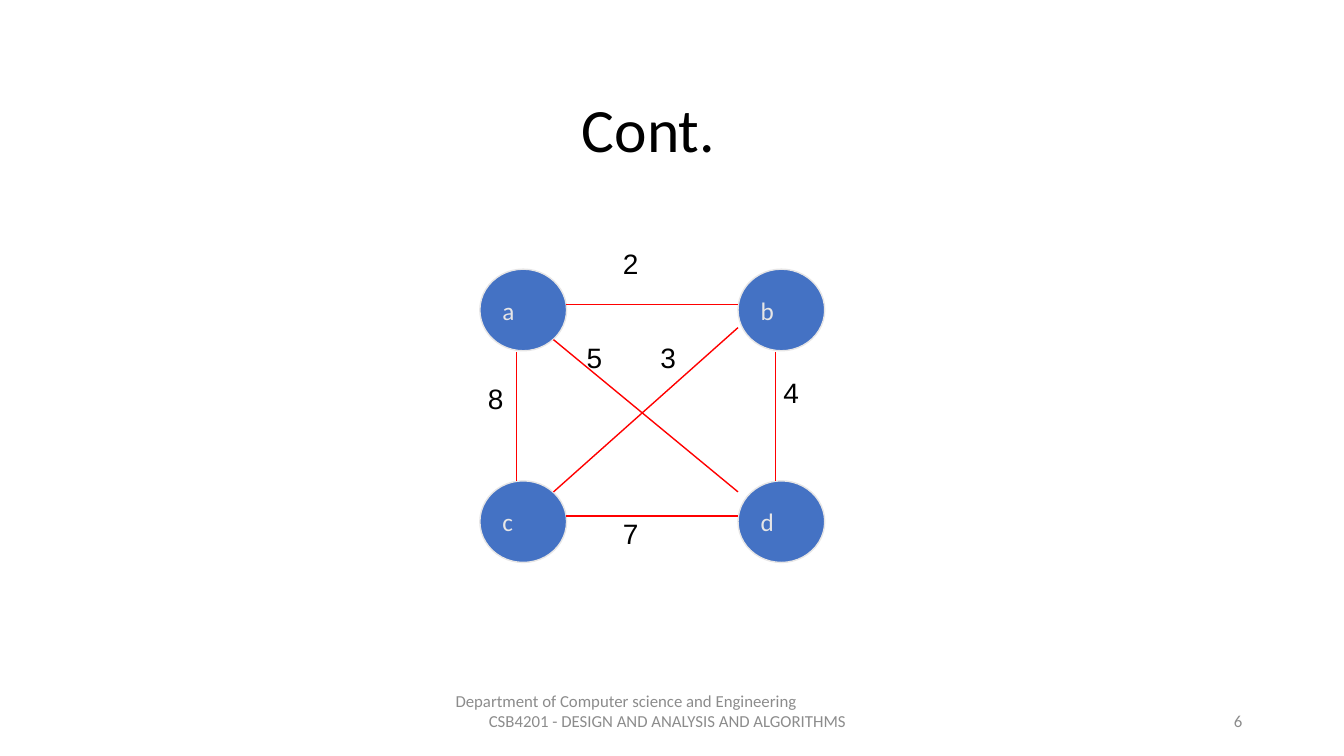
from dataclasses import dataclass

from lxml import etree
from pptx import Presentation
from pptx.dml.color import RGBColor
from pptx.enum.shapes import MSO_CONNECTOR, MSO_SHAPE
from pptx.enum.text import MSO_ANCHOR, PP_ALIGN
from pptx.oxml.ns import qn
from pptx.util import Inches, Pt

LEFT, RIGHT = PP_ALIGN.LEFT, PP_ALIGN.RIGHT
TOP, MIDDLE = MSO_ANCHOR.TOP, MSO_ANCHOR.MIDDLE
OVAL, STRAIGHT = MSO_SHAPE.OVAL, MSO_CONNECTOR.STRAIGHT


@dataclass(frozen=True)
class Theme:
    black: str = "000000"
    grey: str = "8C8C8C"
    node: str = "4472C4"
    pale: str = "E7E6E6"
    edge: str = "FF0000"
    body: str = "Calibri"
    label: str = "Arial"
    title_size: int = 44
    label_size: int = 20
    node_size: int = 18
    footer_size: int = 12


THEME = Theme()
NODE_W, NODE_H = 0.86, 0.81
STEP_X, STEP_Y = 2.56, 2.1
NODES = [["a", "b"], ["c", "d"]]
EDGES = [
    (0.85, 0.35, STEP_X, 0.35),
    (0.36, 0.82, 0.36, STEP_Y),
    (0.85, STEP_Y + 0.35, STEP_X, STEP_Y + 0.35),
    (STEP_X + 0.37, 0.82, STEP_X + 0.37, STEP_Y),
    (0.73, 0.7, STEP_X, 2.21),
    (STEP_X, 0.58, 0.73, 2.21),
]
WEIGHTS = [
    ("8", -0.02, 1.07),
    ("2", 1.32, -0.27),
    ("7", 1.32, 2.4),
    ("5", 0.96, 0.66),
    ("3", 1.69, 0.66),
    ("4", 2.91, 1.01),
]


def rgb(value):
    return RGBColor.from_string(value)


def inches(*values):
    return [Inches(v) for v in values]


def write(sp, lines, size, color, font=THEME.body, align=LEFT, anchor=MIDDLE, **frame):
    tf = sp.text_frame
    settings = {"word_wrap": True, "vertical_anchor": anchor, **frame}
    for name, value in settings.items():
        setattr(tf, name, value)
    tf.text = "\n".join(lines)
    for p in tf.paragraphs:
        p.alignment = align
        for r in p.runs:
            for name, value in {"name": font, "size": Pt(size)}.items():
                setattr(r.font, name, value)
            r.font.color.rgb = rgb(color)
    return tf


def add_title(s, left, top, width, height):
    sp = s.shapes.title
    box = dict(zip(("left", "top", "width", "height"), inches(left, top, width, height)))
    for name, value in box.items():
        setattr(sp, name, value)
    tf = write(sp, ["Cont."], THEME.title_size, THEME.black,
               margin_left=0, margin_top=Inches(0.01), margin_right=0, margin_bottom=0)
    tf.paragraphs[0]._p.get_or_add_pPr().set("marL", str(Inches(0.01)))


def add_footer(s, left, top, width, height):
    sp = s.shapes.add_textbox(*inches(left, top, width, height))
    lines = ["Department of Computer science and Engineering",
             "CSB4201 - DESIGN AND ANALYSIS AND ALGORITHMS"]
    tf = write(sp, lines, THEME.footer_size, THEME.grey, margin_bottom=Inches(0.25))
    tf.paragraphs[1]._p.get_or_add_pPr().set("marL", str(Inches(0.33)))


def add_slide_number(s, left, top, width, height):
    sp = s.shapes.add_textbox(*inches(left, top, width, height))
    write(sp, ["6"], THEME.footer_size, THEME.grey, align=RIGHT)


def add_node(s, name, left, top):
    sp = s.shapes.add_shape(OVAL, *inches(left, top, NODE_W, NODE_H))
    sp.shadow.inherit = False
    sp.fill.solid()
    sp.fill.fore_color.rgb = rgb(THEME.node)
    sp.line.color.rgb = rgb(THEME.pale)
    sp.line.width = Pt(1)
    write(sp, [name], THEME.node_size, THEME.pale)


def add_edge(s, x1, y1, x2, y2):
    line = s.shapes.add_connector(STRAIGHT, *inches(x1, y1, x2, y2))
    line.line.color.rgb = rgb(THEME.edge)
    line.line.width = Pt(1)
    etree.SubElement(line._element.spPr, qn("a:effectLst"))


def add_graph(s, left, top):
    for row, names in enumerate(NODES):
        for col, name in enumerate(names):
            add_node(s, name, left + col * STEP_X, top + row * STEP_Y)
    for x1, y1, x2, y2 in EDGES:
        add_edge(s, left + x1, top + y1, left + x2, top + y2)
    for weight, x, y in WEIGHTS:
        sp = s.shapes.add_textbox(*inches(left + x, top + y, 0.52, 0.61))
        write(sp, [weight], THEME.label_size, THEME.black, THEME.label, anchor=TOP)


def main():
    prs = Presentation()
    prs.slide_width, prs.slide_height = inches(13.33, 7.5)
    s = prs.slides.add_slide(prs.slide_layouts.get_by_name("Title Only"))
    add_title(s, 5.76, 0.88, 1.81, 0.76)
    add_footer(s, 4.42, 6.95, 4.5, 0.4)
    add_slide_number(s, 9.42, 6.95, 3, 0.4)
    add_graph(s, 4.76, 2.67)
    prs.save("out.pptx")


if __name__ == "__main__":
    main()
